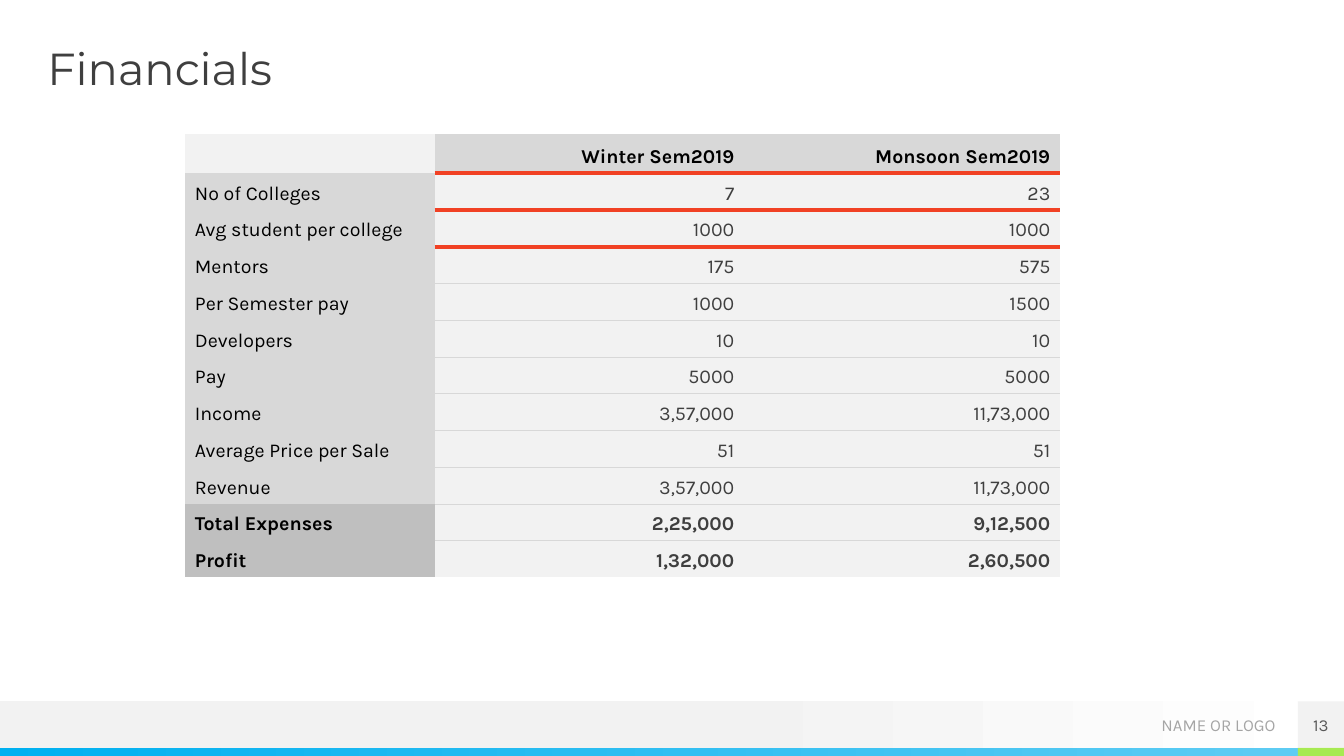
"""Build the Financials slide: a semester comparison table above a branded footer."""
from typing import NamedTuple, Optional

from lxml import etree
from pptx import Presentation
from pptx.dml.color import RGBColor
from pptx.enum.shapes import MSO_SHAPE
from pptx.enum.text import MSO_ANCHOR, MSO_AUTO_SIZE, PP_ALIGN
from pptx.oxml.ns import qn
from pptx.util import Emu, Pt

PX = 9525
RECTANGLE = MSO_SHAPE.RECTANGLE
LEFT, CENTER, RIGHT = PP_ALIGN.LEFT, PP_ALIGN.CENTER, PP_ALIGN.RIGHT
TOP, MIDDLE, BOTTOM = MSO_ANCHOR.TOP, MSO_ANCHOR.MIDDLE, MSO_ANCHOR.BOTTOM
NO_AUTOFIT = MSO_AUTO_SIZE.NONE
TITLE_ONLY_LAYOUT = 5
PLAIN_TABLE_STYLE = "{2D5ABB26-0587-4C30-8999-92F81FD0307C}"

BODY_FONT, TITLE_FONT = "Karla", "Montserrat"
BLACK, DARK, PALE, LIGHT, MID = "000000", "3F3F3F", "F2F2F2", "D8D8D8", "BFBFBF"
ACCENT = "F14124"

COLUMN_WIDTHS = (238, 295, 301)
HEADER_HEIGHT, ROW_HEIGHT = 37, 35
ACCENT_RULES, TOTAL_ROWS = 3, 2
ROWS = (
    ("", "Winter Sem2019", "Monsoon Sem2019"),
    ("No of Colleges", "7", "23"),
    ("Avg student per college", "1000", "1000"),
    ("Mentors", "175", "575"),
    ("Per Semester pay", "1000", "1500"),
    ("Developers", "10", "10"),
    ("Pay", "5000", "5000"),
    ("Income", "3,57,000", "11,73,000"),
    ("Average Price per Sale", "51", "51"),
    ("Revenue", "3,57,000", "11,73,000"),
    ("Total Expenses", "2,25,000", "9,12,500"),
    ("Profit", "1,32,000", "2,60,500"),
)


class Box(NamedTuple):
    left: int
    top: int
    width: int
    height: int

    def emu(self) -> list:
        return [Emu(length * PX) for length in self]


class Band(NamedTuple):
    box: Box
    start: str
    end: Optional[str] = None
    start_at: float = 0


class Rule(NamedTuple):
    color: str
    points: float


FOOTER_BANDS = (
    Band(Box(0, 668, 1280, 44), PALE, "FFFFFF", 0.53),
    Band(Box(0, 712, 1236, 8), "00B0F0", "5ECCF3"),
    Band(Box(1236, 712, 44, 8), "A7EA52"),
)
PAGE_NUMBER_BAND = Band(Box(1236, 668, 44, 44), PALE)


def rgb(color: str) -> RGBColor:
    return RGBColor.from_string(color)


def format_text(text_frame, size: float, color: str, font: str = BODY_FONT,
                align=LEFT, bold: bool = False) -> None:
    paragraph = text_frame.paragraphs[0]
    paragraph.alignment = align
    for target in (paragraph, *paragraph.runs):
        target.font.name = font
        target.font.size = Pt(size)
        target.font.bold = bold
        target.font.color.rgb = rgb(color)


def set_frame(text_frame, anchor) -> None:
    text_frame.margin_left = text_frame.margin_right = 0
    text_frame.margin_top = text_frame.margin_bottom = 0
    text_frame.word_wrap = True
    text_frame.auto_size = NO_AUTOFIT
    text_frame.vertical_anchor = anchor


def add_band(slide, band: Band):
    shape = slide.shapes.add_shape(RECTANGLE, *band.box.emu())
    shape.shadow.inherit = False
    shape.line.fill.background()
    if band.end is None:
        shape.fill.solid()
        shape.fill.fore_color.rgb = rgb(band.start)
        return shape
    shape.fill.gradient()
    shape.fill.gradient_angle = 0
    stops = ((band.start_at, band.start), (1, band.end))
    for stop, (position, color) in zip(shape.fill.gradient_stops, stops):
        stop.position = position
        stop.color.rgb = rgb(color)
    return shape


def add_title(slide, text: str) -> None:
    title = slide.shapes.title
    title.left, title.top, title.width, title.height = Box(45, 45, 1190, 45).emu()
    title.text_frame.text = text
    set_frame(title.text_frame, TOP)
    title.text_frame.paragraphs[0].line_spacing = 0.9
    format_text(title.text_frame, 32, DARK, TITLE_FONT)


def add_footer(slide) -> None:
    for band in FOOTER_BANDS:
        add_band(slide, band)
    label = slide.shapes.add_textbox(*Box(1000, 668, 215, 45).emu()).text_frame
    label.text = "NAME OR LOGO"
    set_frame(label, MIDDLE)
    format_text(label, 12, "A5A5A5", align=RIGHT)
    number = add_band(slide, PAGE_NUMBER_BAND).text_frame
    number.text = "13"
    set_frame(number, MIDDLE)
    format_text(number, 12, "595959", align=CENTER)


def rule_below(row: int) -> Optional[Rule]:
    if 0 <= row < ACCENT_RULES:
        return Rule(ACCENT, 3)
    if ACCENT_RULES <= row < len(ROWS) - TOTAL_ROWS:
        return Rule(LIGHT, 0.75)
    return None


def add_border(cell, tag: str, rule: Optional[Rule]) -> None:
    if rule is None:
        return
    properties = cell._tc.get_or_add_tcPr()
    line = etree.SubElement(properties, qn(tag), w=str(Pt(rule.points)))
    fill = etree.SubElement(line, qn("a:solidFill"))
    etree.SubElement(fill, qn("a:srgbClr"), val=rule.color)


def cell_fill(row: int, column: int) -> str:
    if (row == 0) == (column == 0):
        return PALE
    return MID if row >= len(ROWS) - TOTAL_ROWS else LIGHT


def format_cell(cell, row: int, column: int) -> None:
    is_total = row >= len(ROWS) - TOTAL_ROWS
    is_heading = row == 0 or column == 0
    cell.text_frame.text = ROWS[row][column]
    cell.vertical_anchor = BOTTOM
    format_text(cell.text_frame, 14, BLACK if is_heading else DARK,
                align=RIGHT if column else LEFT, bold=row == 0 or is_total)
    if column:
        add_border(cell, "a:lnT", rule_below(row - 1))
        add_border(cell, "a:lnB", rule_below(row))
    cell.fill.solid()
    cell.fill.fore_color.rgb = rgb(cell_fill(row, column))


def add_financial_table(slide) -> None:
    height = HEADER_HEIGHT + ROW_HEIGHT * (len(ROWS) - 1)
    box = Box(176, 128, sum(COLUMN_WIDTHS), height)
    table = slide.shapes.add_table(len(ROWS), len(COLUMN_WIDTHS), *box.emu()).table
    table._tbl.tblPr.find(qn("a:tableStyleId")).text = PLAIN_TABLE_STYLE
    table.first_row = table.horz_banding = False
    for column, width in zip(table.columns, COLUMN_WIDTHS):
        column.width = Emu(width * PX)
    for row_index, row in enumerate(table.rows):
        row.height = Emu((ROW_HEIGHT if row_index else HEADER_HEIGHT) * PX)
        for column_index, cell in enumerate(row.cells):
            format_cell(cell, row_index, column_index)


def main() -> None:
    presentation = Presentation()
    presentation.slide_width = Emu(1280 * PX)
    presentation.slide_height = Emu(720 * PX)
    slide = presentation.slides.add_slide(presentation.slide_layouts[TITLE_ONLY_LAYOUT])
    add_footer(slide)
    add_title(slide, "Financials")
    add_financial_table(slide)
    presentation.save("out.pptx")


if __name__ == "__main__":
    main()
